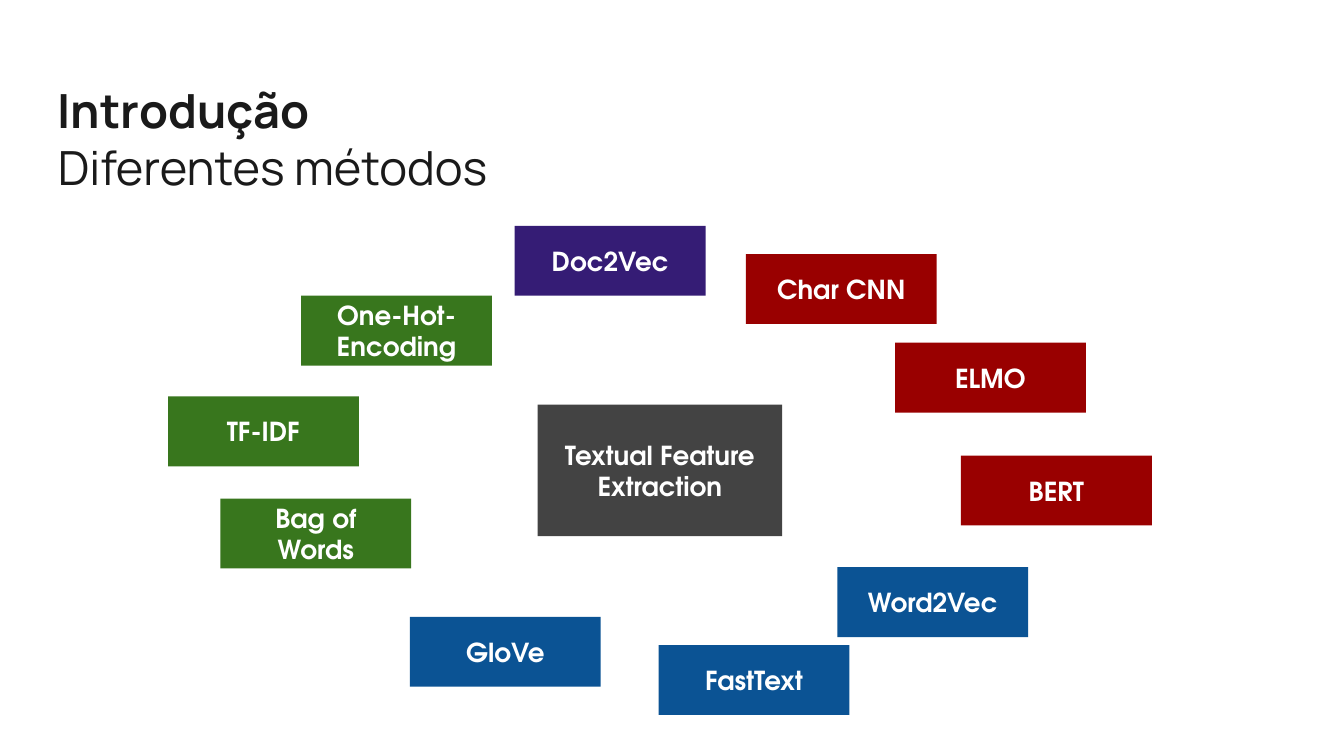
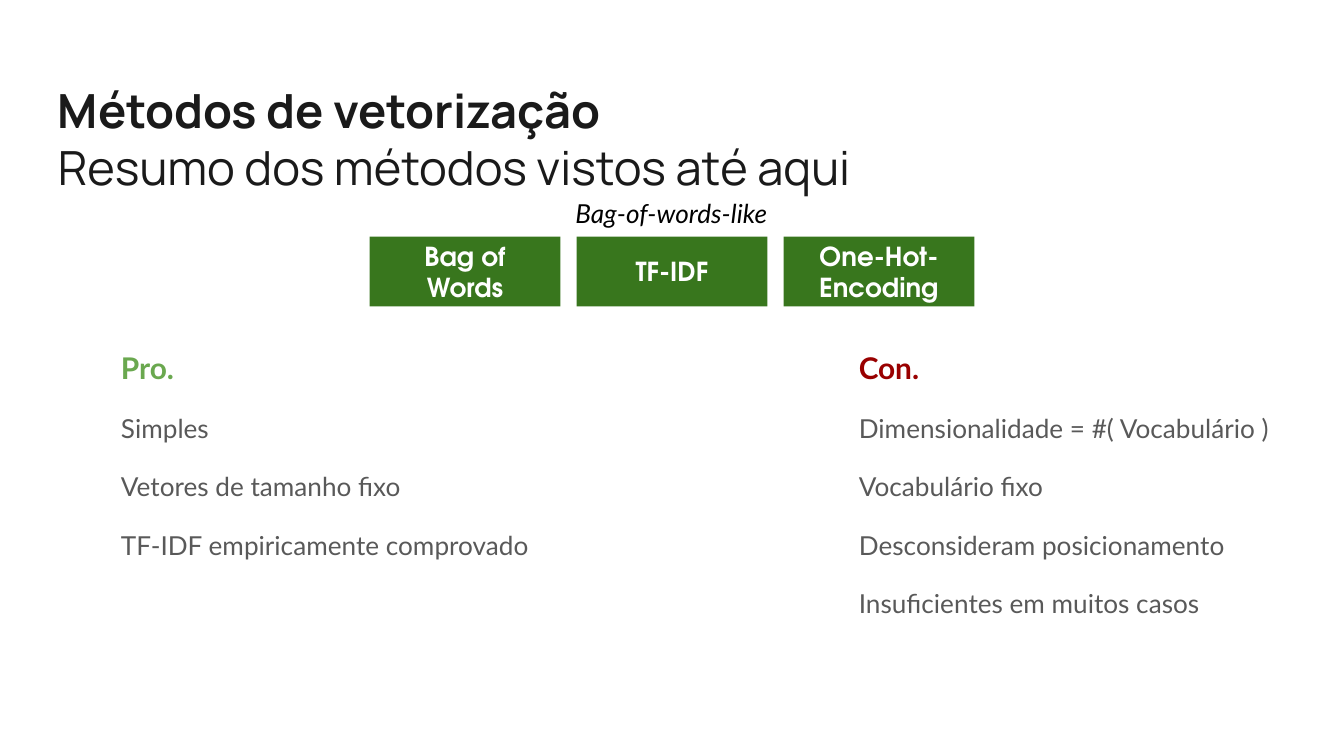
from dataclasses import dataclass

from pptx import Presentation
from pptx.dml.color import RGBColor
from pptx.enum.shapes import MSO_SHAPE as Shape
from pptx.enum.text import MSO_ANCHOR as Anchor, MSO_AUTO_SIZE as AutoSize, PP_ALIGN as Align
from pptx.oxml.ns import qn
from pptx.util import Inches, Pt


@dataclass(frozen=True)
class Theme:
    ink: str = "1A1A1A"
    gray: str = "595959"
    black: str = "000000"
    white: str = "FFFFFF"
    hub: str = "434343"
    counting: str = "38761D"
    document: str = "351C75"
    embedding: str = "0B5394"
    contextual: str = "990000"
    pro: str = "6AA84F"
    con: str = "990000"
    title_font: str = "Manrope"
    tag_font: str = "TeX Gyre Adventor"
    body_font: str = "Lato"
    title_size: float = 25.2
    heading_size: int = 16
    text_size: int = 14


THEME = Theme()
TAG_SIZE = (1.42, 0.52)
HUB_SIZE = (1.82, 0.98)

# Each line of a tag is a paragraph of its own
TFIDF = "TF-IDF"
ONE_HOT = "One-Hot-\nEncoding"
BAG_OF_WORDS = "Bag of Words"

INTRO_TITLE = ("Introdução", "Diferentes métodos")
HUB = ("Textual Feature Extraction", (4, 3.01))
METHODS = {
    THEME.counting: [
        (TFIDF, (1.25, 2.95)),
        (ONE_HOT, (2.24, 2.2)),
        (BAG_OF_WORDS, (1.64, 3.71)),
    ],
    THEME.document: [("Doc2Vec", (3.83, 1.68))],
    THEME.embedding: [
        ("Word2Vec", (6.23, 4.22)),
        ("GloVe", (3.05, 4.59)),
        ("FastText", (4.9, 4.8)),
    ],
    THEME.contextual: [
        ("Char CNN", (5.55, 1.89)),
        ("ELMO", (6.66, 2.55)),
        ("BERT", (7.15, 3.39)),
    ],
}

SUMMARY_TITLE = ("Métodos de vetorização", "Resumo dos métodos vistos até aqui")
FAMILY = "Bag-of-words-like"
FAMILY_METHODS = [BAG_OF_WORDS, TFIDF, ONE_HOT]
FAMILY_LEFT, FAMILY_TOP, FAMILY_GAP = 2.75, 1.76, 0.12
VERDICTS = [
    ("Pro.", THEME.pro, (0.8, 2.46, 3.37, 2.94), [
        "Simples",
        "Vetores de tamanho fixo",
        "TF-IDF empiricamente comprovado",
    ]),
    ("Con.", THEME.con, (6.29, 2.46, 3.37, 3.17), [
        "Dimensionalidade = #( Vocabulário )",
        "Vocabulário fixo",
        "Desconsideram posicionamento",
        "Insuficientes em muitos casos",
    ]),
]


def place(shape, box):
    shape.left, shape.top, shape.width, shape.height = map(Inches, box)


def set_frame(frame, anchor=Anchor.TOP, auto_size=AutoSize.NONE):
    frame.word_wrap = True
    frame.auto_size = auto_size
    frame.vertical_anchor = anchor
    frame.margin_left = frame.margin_right = Inches(0.1)
    frame.margin_top = frame.margin_bottom = Inches(0.1)


def write(frame, text, *, font, color, size=THEME.text_size, bold=False, italic=False,
          align=Align.LEFT, spacing=1.0, before=0):
    """Append each line of text as a paragraph, filling an empty first one."""
    for line in text.split("\n"):
        first = frame.paragraphs[0]
        paragraph = frame.add_paragraph() if first.runs else first
        paragraph.alignment = align
        paragraph.line_spacing = spacing
        paragraph.space_before = Pt(before)
        run = paragraph.add_run()
        run.text = line
        run.font.name = font
        run.font.size = Pt(size)
        run.font.bold = bold
        run.font.italic = italic
        run.font.color.rgb = RGBColor.from_string(color)


def remove_bullets(frame):
    for paragraph in frame.paragraphs:
        properties = paragraph._p.get_or_add_pPr()
        properties.set("marL", "0")
        properties.set("indent", "0")
        properties.append(properties.makeelement(qn("a:buNone"), {}))


def add_title(slide, lines, height):
    title = slide.shapes.title
    place(title, (0.33, 0.51, 8.41, height))
    set_frame(title.text_frame)
    for line, bold in zip(lines, (True, False)):
        write(title.text_frame, line, font=THEME.title_font, color=THEME.ink,
              size=THEME.title_size, bold=bold)


def add_tag(slide, text, position, color, size=TAG_SIZE):
    tag = slide.shapes.add_shape(Shape.RECTANGLE, *map(Inches, (*position, *size)))
    tag.shadow.inherit = False
    tag.fill.solid()
    tag.fill.fore_color.rgb = RGBColor.from_string(color)
    tag.line.fill.background()
    set_frame(tag.text_frame, Anchor.MIDDLE)
    write(tag.text_frame, text, font=THEME.tag_font, color=THEME.white,
          bold=True, align=Align.CENTER)


def fill_verdict(body, heading, color, box, points):
    place(body, box)
    frame = body.text_frame
    set_frame(frame)
    style = dict(font=THEME.body_font, align=Align.JUSTIFY, spacing=1.15)
    write(frame, heading, color=color, size=THEME.heading_size, bold=True, **style)
    for point in points:
        write(frame, point, color=THEME.gray, before=12, **style)
    remove_bullets(frame)


def build_intro(deck):
    slide = deck.slides.add_slide(deck.slide_layouts.get_by_name("Title Only"))
    add_title(slide, INTRO_TITLE, height=0.59)
    for color, methods in METHODS.items():
        for method, position in methods:
            add_tag(slide, method, position, color)
    add_tag(slide, *HUB, THEME.hub, HUB_SIZE)


def build_summary(deck):
    slide = deck.slides.add_slide(deck.slide_layouts.get_by_name("Two Content"))
    add_title(slide, SUMMARY_TITLE, height=1.06)
    for index, verdict in enumerate(VERDICTS, start=1):
        fill_verdict(slide.placeholders[index], *verdict)
    for column, method in enumerate(FAMILY_METHODS):
        left = FAMILY_LEFT + column * (TAG_SIZE[0] + FAMILY_GAP)
        add_tag(slide, method, (left, FAMILY_TOP), THEME.counting)
    family = slide.shapes.add_textbox(*map(Inches, (4.06, 1.37, 1.87, 0.44)))
    set_frame(family.text_frame, auto_size=AutoSize.SHAPE_TO_FIT_TEXT)
    write(family.text_frame, FAMILY, font=THEME.body_font, color=THEME.black,
          italic=True, align=Align.CENTER)


def main():
    deck = Presentation()
    deck.slide_width = Inches(10)
    deck.slide_height = deck.slide_width * 9 // 16
    build_intro(deck)
    build_summary(deck)
    deck.save("out.pptx")


if __name__ == "__main__":
    main()
